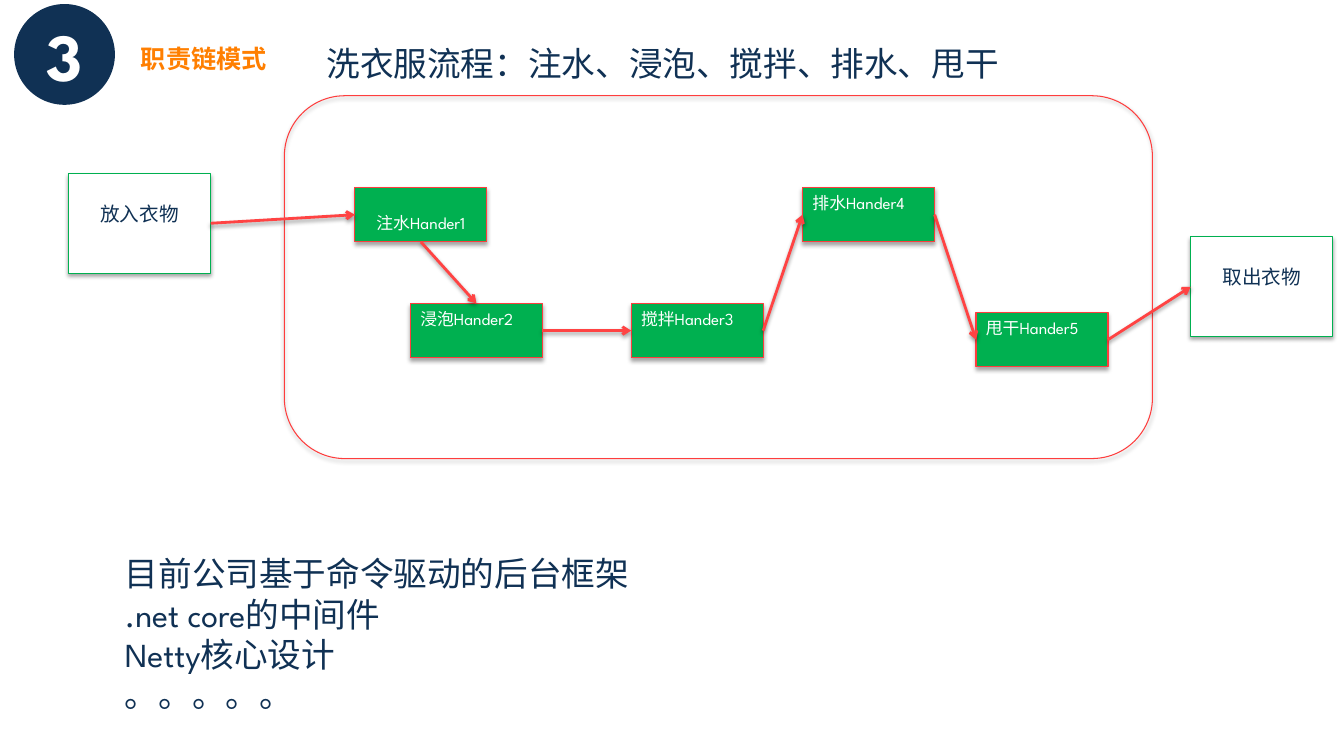
import dataclasses

import lxml.etree
import pptx
import pptx.dml.color
import pptx.enum.shapes
import pptx.enum.text
import pptx.oxml
import pptx.oxml.ns
import pptx.util

Inches = pptx.util.Inches
Pt = pptx.util.Pt
Shapes = pptx.enum.shapes.MSO_SHAPE
Align = pptx.enum.text.PP_ALIGN
Anchor = pptx.enum.text.MSO_ANCHOR

FONT = "League Spartan"
NAVY, ORANGE, WHITE = "103154", "FF7F01", "FFFFFF"
GREEN, RED, ARROW_RED = "00B050", "FE3D3D", "FF4343"
TOP, LEFT, BOTTOM, RIGHT = range(4)  # connection sites of a rectangle


@dataclasses.dataclass
class TextStyle:
    size: float
    color: str = NAVY
    bold: bool = False
    align: Align = Align.LEFT
    anchor: Anchor = Anchor.TOP
    line_spacing: float = 1.0
    top_inset: float = 0.05


@dataclasses.dataclass
class Step:
    text: str
    left: float
    top: float
    width: float
    height: float
    fill: str
    line: str
    style: TextStyle


@dataclasses.dataclass
class Link:
    start: int
    start_site: int
    end: int
    end_site: int


def rgb(color: str) -> pptx.dml.color.RGBColor:
    return pptx.dml.color.RGBColor.from_string(color)


def add_shadow(shape, opacity: int, distance: float) -> None:
    """Append a soft downward shadow; call it after the line is set."""
    properties = shape._element.spPr
    effects = lxml.etree.SubElement(properties, pptx.oxml.ns.qn("a:effectLst"))
    effects.append(pptx.oxml.parse_xml(
        f'<a:outerShdw {pptx.oxml.ns.nsdecls("a")} blurRad="{Pt(3.1)}" '
        f'dist="{Pt(distance)}" dir="5400000" rotWithShape="0">'
        f'<a:srgbClr val="000000"><a:alpha val="{opacity * 1000}"/></a:srgbClr>'
        "</a:outerShdw>"))


def write(shape, lines: list[str], style: TextStyle) -> None:
    frame = shape.text_frame
    frame.word_wrap = True
    frame.vertical_anchor = style.anchor
    frame.margin_top = Inches(style.top_inset)
    for index, line in enumerate(lines):
        paragraph = frame.add_paragraph() if index else frame.paragraphs[0]
        paragraph.alignment = style.align
        paragraph.line_spacing = style.line_spacing
        run = paragraph.add_run()
        run.text = line
        run.font.name = FONT
        run.font.size = Pt(style.size)
        run.font.bold = style.bold
        run.font.color.rgb = rgb(style.color)


def add_text(slide, left: float, top: float, width: float, height: float,
             lines: list[str], style: TextStyle) -> None:
    box = slide.shapes.add_textbox(
        Inches(left), Inches(top), Inches(width), Inches(height))
    write(box, lines, style)


def add_step(slide, step: Step):
    shape = slide.shapes.add_shape(
        Shapes.RECTANGLE, Inches(step.left), Inches(step.top),
        Inches(step.width), Inches(step.height))
    shape.fill.solid()
    shape.fill.fore_color.rgb = rgb(step.fill)
    shape.line.color.rgb = rgb(step.line)
    shape.line.width = Pt(0.75)
    add_shadow(shape, 35, 1.8)
    write(shape, [step.text], step.style)
    return shape


def add_link(slide, shapes: list, link: Link) -> None:
    connector = slide.shapes.add_connector(
        pptx.enum.shapes.MSO_CONNECTOR.STRAIGHT, 0, 0, 0, 0)
    connector.begin_connect(shapes[link.start], link.start_site)
    connector.end_connect(shapes[link.end], link.end_site)
    connector.line.color.rgb = rgb(ARROW_RED)
    connector.line.width = Pt(2)
    tail = lxml.etree.SubElement(
        connector.line._get_or_add_ln(), pptx.oxml.ns.qn("a:tailEnd"))
    tail.set("type", "arrow")
    add_shadow(connector, 38, 1.6)


def clothes(text: str, left: float, top: float) -> Step:
    style = TextStyle(14, align=Align.CENTER, top_inset=0.28)
    return Step(text, left, top, 1.41, 0.99, WHITE, GREEN, style)


def handler(text: str, left: float, top: float,
            align: Align = Align.LEFT, top_inset: float = 0.05) -> Step:
    style = TextStyle(12, WHITE, align=align, top_inset=top_inset)
    return Step(text, left, top, 1.31, 0.54, GREEN, RED, style)


STEPS = [
    clothes("放入衣物", 0.68, 1.72),
    handler("注水Hander1", 3.52, 1.86, Align.CENTER, 0.25),
    handler("浸泡Hander2", 4.07, 3.01),
    handler("搅拌Hander3", 6.26, 3.01),
    handler("排水Hander4", 7.96, 1.86),
    handler("甩干Hander5", 9.68, 3.1),
    clothes("取出衣物", 11.81, 2.35),
]

LINKS = [
    Link(0, RIGHT, 1, LEFT),
    Link(1, BOTTOM, 2, TOP),
    *(Link(start, RIGHT, start + 1, LEFT) for start in range(2, 6)),
]


def main() -> None:
    presentation = pptx.Presentation()
    presentation.slide_width = Inches(13.33)
    presentation.slide_height = Inches(7.5)
    slide = presentation.slides.add_slide(presentation.slide_layouts[6])

    # Section number and headings
    badge = slide.shapes.add_shape(
        Shapes.OVAL, Inches(0.14), Inches(0.04), Inches(1), Inches(1))
    badge.shadow.inherit = False
    badge.fill.solid()
    badge.fill.fore_color.rgb = rgb(NAVY)
    badge.line.fill.background()
    write(badge, ["3"], TextStyle(48, WHITE, True, Align.CENTER, Anchor.MIDDLE))
    add_text(slide, 1.3, 0.29, 8.54, 0.49, ["职责链模式"],
             TextStyle(18, ORANGE, True, anchor=Anchor.MIDDLE, line_spacing=1.3))
    add_text(slide, 3.14, 0.38, 7.55, 0.5,
             ["洗衣服流程：注水、浸泡、搅拌、排水、甩干"], TextStyle(24))

    # Frame around the handlers
    frame = slide.shapes.add_shape(
        Shapes.ROUNDED_RECTANGLE, Inches(2.82), Inches(0.95), Inches(8.61), Inches(3.6))
    frame.fill.background()
    frame.line.color.rgb = rgb(RED)
    frame.line.width = Pt(0.75)
    add_shadow(frame, 35, 1.8)

    # Chain of responsibility
    shapes = [add_step(slide, step) for step in STEPS]
    for link in LINKS:
        add_link(slide, shapes, link)

    # Uses of the pattern
    add_text(slide, 1.14, 5.44, 7.55, 1.72,
             ["目前公司基于命令驱动的后台框架", ".net core的中间件",
              "Netty核心设计", "。。。。。"], TextStyle(24))

    presentation.save("out.pptx")


if __name__ == "__main__":
    main()
